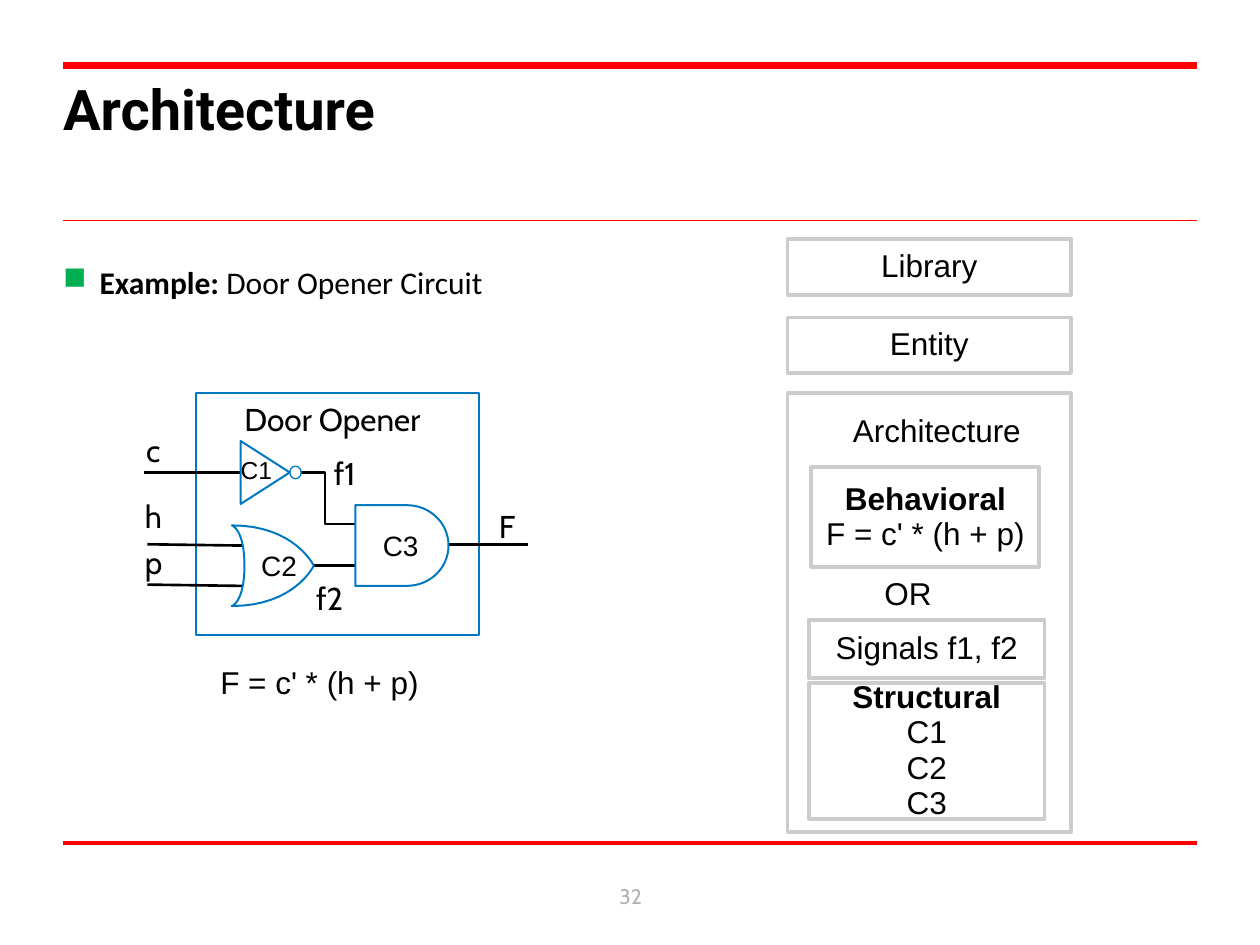
import pptx
import pptx.util
import pptx.dml.color
import pptx.enum.shapes
import pptx.enum.text
import pptx.oxml.ns
import lxml.etree

Pt = pptx.util.Pt
Inch = pptx.util.Inches
RGB = pptx.dml.color.RGBColor
KIND = pptx.enum.shapes.MSO_SHAPE
ALIGN = pptx.enum.text.PP_ALIGN
ANCHOR = pptx.enum.text.MSO_ANCHOR
qn = pptx.oxml.ns.qn

RED = RGB(0xFF, 0, 0)
BLACK = RGB(0, 0, 0)
WHITE = RGB(0xFF, 0xFF, 0xFF)
GRAY = RGB(0xCC, 0xCC, 0xCC)
PALE = RGB(0xB2, 0xB2, 0xB2)
BLUE = RGB(0, 0x78, 0xC1)

RULES = [(6.69, 2.5), (1.75, 1), (0.52, 4)]
FORMULA = "F = c' * (h + p)"
BOXES = [
    ((6.44, 3.71, 1.81, 0.79), ["Behavioral", FORMULA]),
    ((6.25, 1.9, 2.25, 0.44), ["Library"]),
    ((6.42, 4.92, 1.87, 0.46), ["Signals f1, f2"]),
    ((6.25, 2.52, 2.25, 0.44), ["Entity"]),
    ((6.42, 5.42, 1.87, 1.08), ["Structural", "C1", "C2", "C3"]),
    ((6.25, 3.12, 2.25, 3.48), []),
]
HEADS = [("Architecture", 6.67, 3.21, 1.55), ("OR", 6.92, 4.51, 0.58)]
WIRES = [
    (3.56, 4.32, 4.19, 4.32),
    (2.49, 4.49, 2.82, 4.49),
    (1.17, 4.32, 1.92, 4.33),
    (1.17, 4.64, 1.92, 4.65),
    (1.14, 3.75, 1.91, 3.75),
]
BEND = [(2.39, 3.75), (2.58, 3.75), (2.58, 4.16), (2.82, 4.16)]
PINS = [
    ("Door Opener", 1.94, 3.2, 1.62),
    ("c", 1.16, 3.45, 0.14),
    ("h", 1.15, 3.97, 0.16),
    ("p", 1.15, 4.34, 0.16),
    ("F", 3.96, 4.05, 0.17),
    ("f1", 2.65, 3.63, 0.23),
    ("f2", 2.51, 4.62, 0.23),
]
PARTS = [
    ("C3", (2.75, 4.17, 0.86, 0.28), 16),
    ("C2", (1.76, 4.33, 0.91, 0.35), 16),
    ("C1", (1.58, 3.58, 0.91, 0.32), 14),
]

deck = pptx.Presentation()
deck.slide_width, deck.slide_height = Inch(10), Inch(7.5)
slide = deck.slides.add_slide(deck.slide_layouts[6])
shapes = slide.shapes


def curve(a, b, c, d, steps=16):
    spots = []
    for i in range(1, steps + 1):
        t = i / steps
        u = 1 - t
        mix = (u ** 3, 3 * u * u * t, 3 * u * t * t, t ** 3)
        spots.append(tuple(sum(m * q[k] for m, q in zip(mix, (a, b, c, d)))
                           for k in (0, 1)))
    return spots


def style(shape, color, width, fill=None):
    shape.shadow.inherit = False
    if fill is None:
        shape.fill.background()
    else:
        shape.fill.solid()
        shape.fill.fore_color.rgb = fill
    shape.line.color.rgb = color
    shape.line.width = Pt(width)


def box(kind, at, color, width, fill=None):
    shape = shapes.add_shape(kind, *map(Inch, at))
    style(shape, color, width, fill)
    return shape


def wire(x1, y1, x2, y2, color, width):
    line = shapes.add_connector(pptx.enum.shapes.MSO_CONNECTOR.STRAIGHT,
                                *map(Inch, (x1, y1, x2, y2)))
    line.line.color.rgb = color
    line.line.width = Pt(width)
    lxml.etree.SubElement(line._element.spPr, qn("a:effectLst"))


def outline(spots, color, width, fill=None, close=True):
    pen = shapes.build_freeform(Inch(spots[0][0]), Inch(spots[0][1]))
    pen.add_line_segments([(Inch(x), Inch(y)) for x, y in spots[1:]], close=close)
    style(pen.convert_to_shape(), color, width, fill)


def write(shape, lines, size, font, color=BLACK, align=ALIGN.LEFT, space=None,
          anchor=ANCHOR.TOP, inset=True, wrap=True):
    frame = shape.text_frame
    frame.word_wrap = wrap
    frame.vertical_anchor = anchor
    if not inset:
        frame.margin_left = frame.margin_right = 0
        frame.margin_top = frame.margin_bottom = 0
    frame.text = "\n".join(lines)
    for para in frame.paragraphs:
        para.alignment = align
        para.line_spacing = space
        for run in para.runs:
            run.font.size = Pt(size)
            run.font.name = font
            run.font.color.rgb = color
            run.font.bold = False
    return frame


def label(text, at, size, font, **more):
    return write(shapes.add_textbox(*map(Inch, at)), [text], size, font, **more)


for y, width in RULES:
    wire(0.5, y, 9.5, y, RED, width)

body = label("Example: ", (0.5, 2.09, 9.25, 4.33), 18, "Calibri", inset=False)
para = body.paragraphs[0]
para.space_after = Pt(7.2)
props = para._p.get_or_add_pPr()
props.set("marL", str(Inch(0.29)))
props.set("indent", str(-Inch(0.29)))
tint = lxml.etree.SubElement(props, qn("a:buClr"))
lxml.etree.SubElement(tint, qn("a:srgbClr")).set("val", "00B050")
lxml.etree.SubElement(props, qn("a:buChar")).set("char", "■")
para.add_run().text = "Door Opener Circuit"
for run, bold in zip(para.runs, (True, False)):
    run.font.size, run.font.name, run.font.bold = Pt(18), "Calibri", bold
    run.font.color.rgb = BLACK

title = label("Architecture", (0.5, 0.59, 8.99, 1), 32, "Roboto", inset=False)
title.paragraphs[0].runs[0].font.bold = True
label("32", (3.84, 6.91, 2.33, 0.4), 12, "Cabin", color=PALE,
      align=ALIGN.CENTER, anchor=ANCHOR.MIDDLE)

for at, lines in BOXES:
    shape = box(KIND.RECTANGLE, at, GRAY, 2.25)
    if lines:
        frame = write(shape, lines, 18, "Arial", align=ALIGN.CENTER,
                      space=0.93, anchor=ANCHOR.MIDDLE)
        frame.paragraphs[0].runs[0].font.bold = len(lines) > 1
for text, x, y, width in HEADS:
    label(text, (x, y, width, 0.4), 18, "Arial", wrap=False)

box(KIND.RECTANGLE, (1.56, 3.12, 2.24, 1.92), BLUE, 1.13)
for ends in WIRES:
    wire(*ends, BLACK, 1.5)
outline(BEND, BLACK, 1.5, close=False)

tip, low, mid, top = (2.49, 4.49), (1.84, 4.81), (1.94, 4.49), (1.84, 4.17)
outline([tip] + curve(tip, tip, (2.34, 4.81), low)
        + curve(low, low, (1.94, 4.78), mid)
        + curve(mid, (1.94, 4.2), top, top)
        + curve(top, (2.34, 4.17), tip, tip), BLUE, 1.13, WHITE)
outline([(1.91, 4), (2.3, 3.75), (1.91, 3.5)], BLUE, 1.13, WHITE)
box(KIND.OVAL, (2.3, 3.7, 0.09, 0.1), BLUE, 0.75, WHITE)
low, nose, top = (3.23, 4.65), (3.56, 4.33), (3.23, 4.01)
outline([(2.82, 4.65), low] + curve(low, (3.41, 4.65), (3.56, 4.51), nose)
        + curve(nose, (3.56, 4.15), (3.41, 4.01), top) + [(2.82, 4.01)],
        BLUE, 1.13, WHITE)

label(FORMULA, (1.65, 5.24, 2.07, 0.42), 18, "Arial", space=0.93, wrap=False)
for text, x, y, width in PINS:
    label(text, (x, y, width, 0.31), 18, "Cabin", space=0.93,
          inset=False, wrap=False)
for text, at, size in PARTS:
    label(text, at, size, "Arial", align=ALIGN.CENTER, space=0.93)

deck.save("out.pptx")
